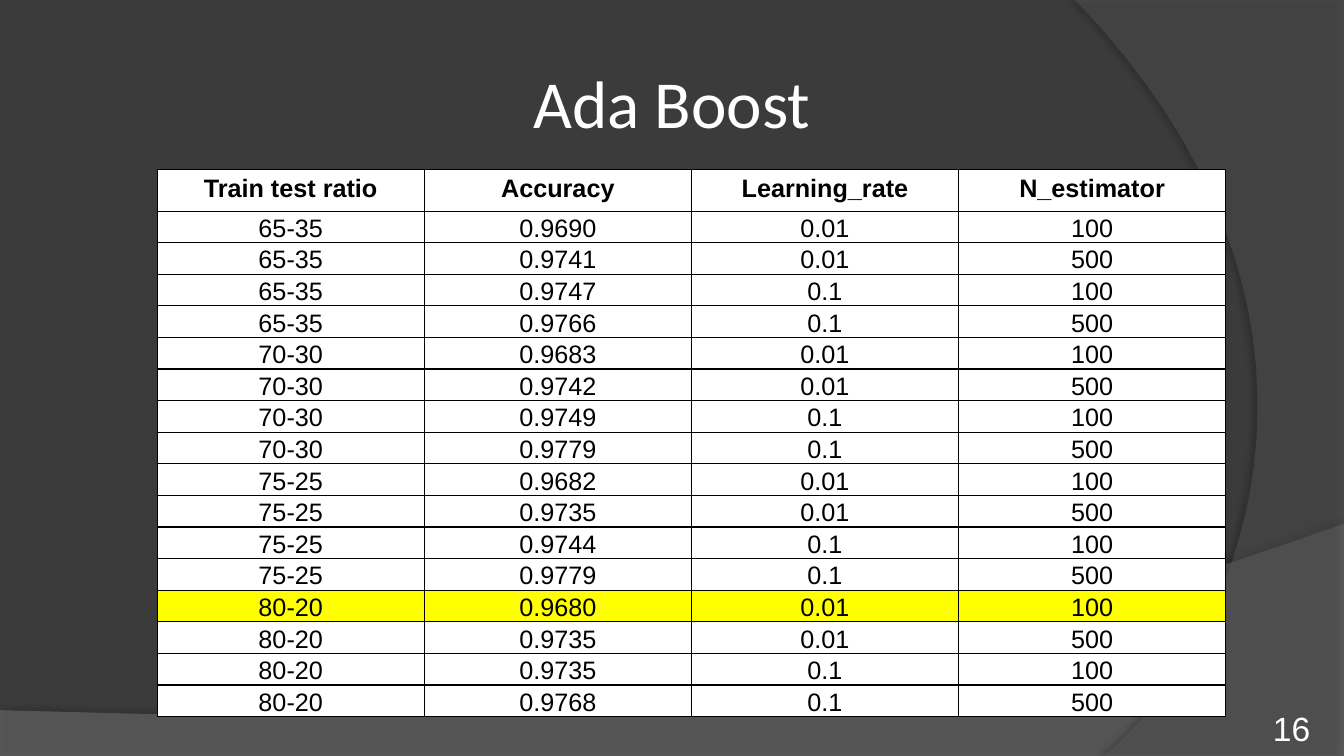
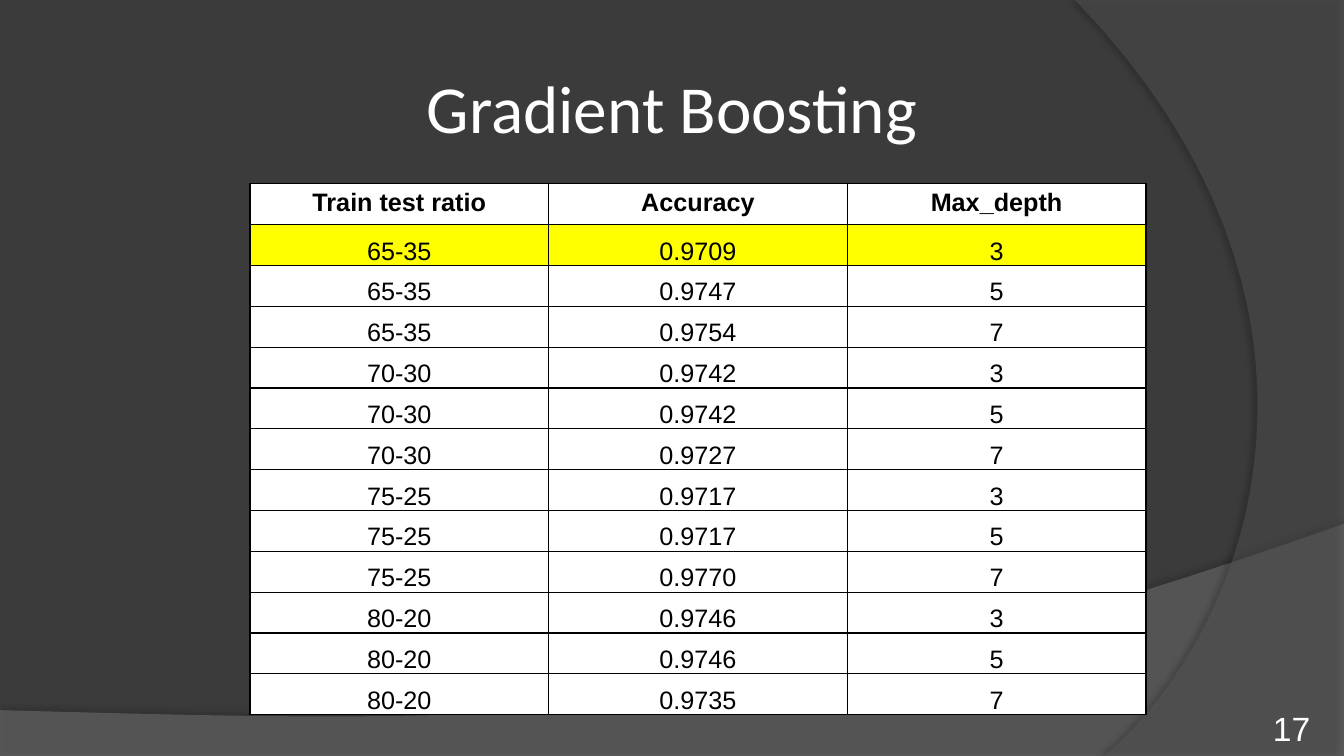
import itertools

import pptx
import pptx.dml.color
import pptx.enum.text
import pptx.oxml
import pptx.oxml.ns
import pptx.util

Cm = pptx.util.Cm
Pt = pptx.util.Pt
RGBColor = pptx.dml.color.RGBColor
Align = pptx.enum.text.PP_ALIGN
Anchor = pptx.enum.text.MSO_ANCHOR
qn = pptx.oxml.ns.qn
NAMESPACE = pptx.oxml.ns.nsdecls("a")

# Shared look
BACKGROUND = RGBColor(0x3B, 0x3B, 0x3B)
BAND = RGBColor(0x7F, 0x7F, 0x7F)
SWOOSH = RGBColor(0x5E, 0x5E, 0x5E)
WHITE = RGBColor(0xFF, 0xFF, 0xFF)
BLACK = RGBColor(0x00, 0x00, 0x00)
HIGHLIGHT = RGBColor(0xFF, 0xFF, 0x00)

SLIDE_WIDTH, SLIDE_HEIGHT = Cm(33.87), Cm(19.05)
TITLE_HEIGHT = Cm(2.31)
HEADER_HEIGHT = Cm(1.04)
NUMBER_BOX = (Cm(30.2), Cm(17.83), Cm(2.82), Cm(1.02))

TITLE_FONT = {"name": "Calibri", "size": Pt(48), "bold": False}
NUMBER_FONT = {"name": "Arial", "size": Pt(24)}
HEADER_FONT = {"name": "Arial", "size": Pt(18), "bold": True}
BODY_FONT = {**HEADER_FONT, "bold": False}
TIGHT_MARGINS = {"margin_left": Cm(0.03), "margin_right": Cm(0.03),
                 "margin_top": Cm(0.03), "margin_bottom": 0}
NO_MARGINS = dict.fromkeys(TIGHT_MARGINS, 0)

RATIOS = ("65-35", "70-30", "75-25", "80-20")


def set_attributes(target, values):
    for name, value in values.items():
        setattr(target, name, value)


def write_text(text_frame, text, font, color, alignment=Align.CENTER):
    paragraph = text_frame.paragraphs[0]
    paragraph.alignment = alignment
    run = paragraph.add_run()
    run.text = text
    set_attributes(run.font, font)
    run.font.color.rgb = color


def bezier(start, control_1, control_2, end, steps=32):
    """Points along a cubic curve, without its start."""
    for step in range(1, steps + 1):
        t = step / steps
        weights = ((1 - t) ** 3, 3 * t * (1 - t) ** 2, 3 * t ** 2 * (1 - t), t ** 3)
        yield tuple(sum(weight * value for weight, value in zip(weights, axis))
                    for axis in zip(start, control_1, control_2, end))


def add_curved_band(slide, box, corners, curve, color, opacity, shadow):
    """Corners and curve are fractions of the box; the curve leaves the last corner."""
    left, top, width, height = box
    fractions = [*corners, *bezier(corners[-1], *curve)]
    points = [(round(left + x * width), round(top + y * height)) for x, y in fractions]
    builder = slide.shapes.build_freeform(*points[0])
    builder.add_line_segments(points[1:], close=True)
    shape = builder.convert_to_shape()
    shape.fill.solid()
    shape.fill.fore_color.rgb = color
    shape.line.fill.background()
    shape.shadow.inherit = False
    properties = shape.element.spPr
    properties.find(f"{qn('a:solidFill')}/{qn('a:srgbClr')}").append(
        pptx.oxml.parse_xml(f'<a:alpha {NAMESPACE} val="{opacity * 1000}"/>'))
    shadow_opacity, distance, angle = shadow
    properties.find(qn("a:effectLst")).append(pptx.oxml.parse_xml(
        f'<a:outerShdw {NAMESPACE} blurRad="{Pt(4)}" dist="{Pt(distance)}" '
        f'dir="{angle * 60000}" algn="ctr" rotWithShape="0"><a:srgbClr val="{BLACK}">'
        f'<a:alpha val="{shadow_opacity * 1000}"/></a:srgbClr></a:outerShdw>'))
    return shape


def decorate_master(master, slide):
    """Draws the bands on a slide and moves them behind everything on the master."""
    master.background.fill.solid()
    master.background.fill.fore_color.rgb = BACKGROUND
    bottom_band = add_curved_band(
        slide, (0, Cm(13.2), SLIDE_WIDTH, Cm(5.87)),
        corners=[(0, 1), (1, 1), (1, 0)],
        curve=[(0.56, 0.9), (0.39, 0.86), (0, 0.8)],
        color=BAND, opacity=45, shadow=(35, 3.5, 270))
    right_swoosh = add_curved_band(
        slide, (Cm(27.09), 0, Cm(6.78), SLIDE_HEIGHT),
        corners=[(1, 0), (1, 1), (0.11, 1)],
        curve=[(0.67, 0.83), (1.09, 0.4), (0, 0)],
        color=SWOOSH, opacity=40, shadow=(45, 4, 180))
    for index, shape in enumerate((bottom_band, right_swoosh), start=2):
        master.shapes.element.insert(index, shape.element)


def add_title(slide, text, top):
    title = slide.shapes.title
    set_attributes(title, {"left": 0, "top": top,
                           "width": SLIDE_WIDTH, "height": TITLE_HEIGHT})
    write_text(title.text_frame, text, TITLE_FONT, WHITE)


def add_slide_number(slide, box, number):
    text_frame = slide.shapes.add_textbox(*box).text_frame
    text_frame.word_wrap = True
    text_frame.vertical_anchor = Anchor.BOTTOM
    set_attributes(text_frame, NO_MARGINS)
    write_text(text_frame, str(number), NUMBER_FONT, WHITE, Align.RIGHT)


def format_cell(cell, text, font, fill_color):
    cell.fill.solid()
    cell.fill.fore_color.rgb = fill_color
    write_text(cell.text_frame, text, font, BLACK)
    properties = cell._tc.get_or_add_tcPr()
    for index, side in enumerate(("lnL", "lnR", "lnT", "lnB")):
        properties.insert(index, pptx.oxml.parse_xml(
            f'<a:{side} {NAMESPACE} w="{Pt(1)}"><a:solidFill>'
            f'<a:srgbClr val="{BLACK}"/></a:solidFill></a:{side}>'))


def add_result_table(slide, box, headers, rows, best_row):
    left, top, width, height = box
    table = slide.shapes.add_table(len(rows) + 1, len(headers), *box).table
    set_attributes(table, {"first_row": False, "horz_banding": False})
    for column in table.columns:
        column.width = round(width / len(headers))
    for row in table.rows:
        row.height = round((height - HEADER_HEIGHT) / len(rows))
    table.rows[0].height = HEADER_HEIGHT

    for column_index, header in enumerate(headers):
        format_cell(table.cell(0, column_index), header, HEADER_FONT, WHITE)
    for row_index, values in enumerate(rows, start=1):
        fill_color = HIGHLIGHT if row_index == best_row else WHITE
        for column_index, value in enumerate(values):
            cell = table.cell(row_index, column_index)
            format_cell(cell, value, BODY_FONT, fill_color)
            set_attributes(cell, {**TIGHT_MARGINS, "vertical_anchor": Anchor.BOTTOM})


def result_rows(accuracies, *parameters):
    """One row for each ratio and parameter setting, in order."""
    settings = itertools.product(RATIOS, *parameters)
    return [(ratio, accuracy, *values)
            for (ratio, *values), accuracy in zip(settings, accuracies)]


RESULTS = [
    {
        "title": "Ada Boost", "title_top": Cm(1.4), "number": 16,
        "box": (Cm(3.96), Cm(4.28), Cm(26.93), Cm(13.79)),
        "headers": ("Train test ratio", "Accuracy", "Learning_rate", "N_estimator"),
        "rows": result_rows(
            ("0.9690", "0.9741", "0.9747", "0.9766",
             "0.9683", "0.9742", "0.9749", "0.9779",
             "0.9682", "0.9735", "0.9744", "0.9779",
             "0.9680", "0.9735", "0.9735", "0.9768"),
            ("0.01", "0.1"), ("100", "500")),
        "best_row": 13,
    },
    {
        "title": "Gradient Boosting", "title_top": Cm(1.52), "number": 17,
        "box": (Cm(6.3), Cm(4.62), Cm(22.58), Cm(13.39)),
        "headers": ("Train test ratio", "Accuracy", "Max_depth"),
        "rows": result_rows(
            ("0.9709", "0.9747", "0.9754",
             "0.9742", "0.9742", "0.9727",
             "0.9717", "0.9717", "0.9770",
             "0.9746", "0.9746", "0.9735"),
            ("3", "5", "7")),
        "best_row": 1,
    },
]


def add_result_slide(presentation, result):
    slide = presentation.slides.add_slide(presentation.slide_layouts[5])
    add_title(slide, result["title"], result["title_top"])
    add_result_table(slide, result["box"], result["headers"],
                     result["rows"], result["best_row"])
    add_slide_number(slide, NUMBER_BOX, result["number"])
    return slide


def main():
    presentation = pptx.Presentation()
    presentation.slide_width = SLIDE_WIDTH
    presentation.slide_height = SLIDE_HEIGHT
    slides = [add_result_slide(presentation, result) for result in RESULTS]
    decorate_master(presentation.slide_master, slides[0])
    presentation.save("out.pptx")


if __name__ == "__main__":
    main()
